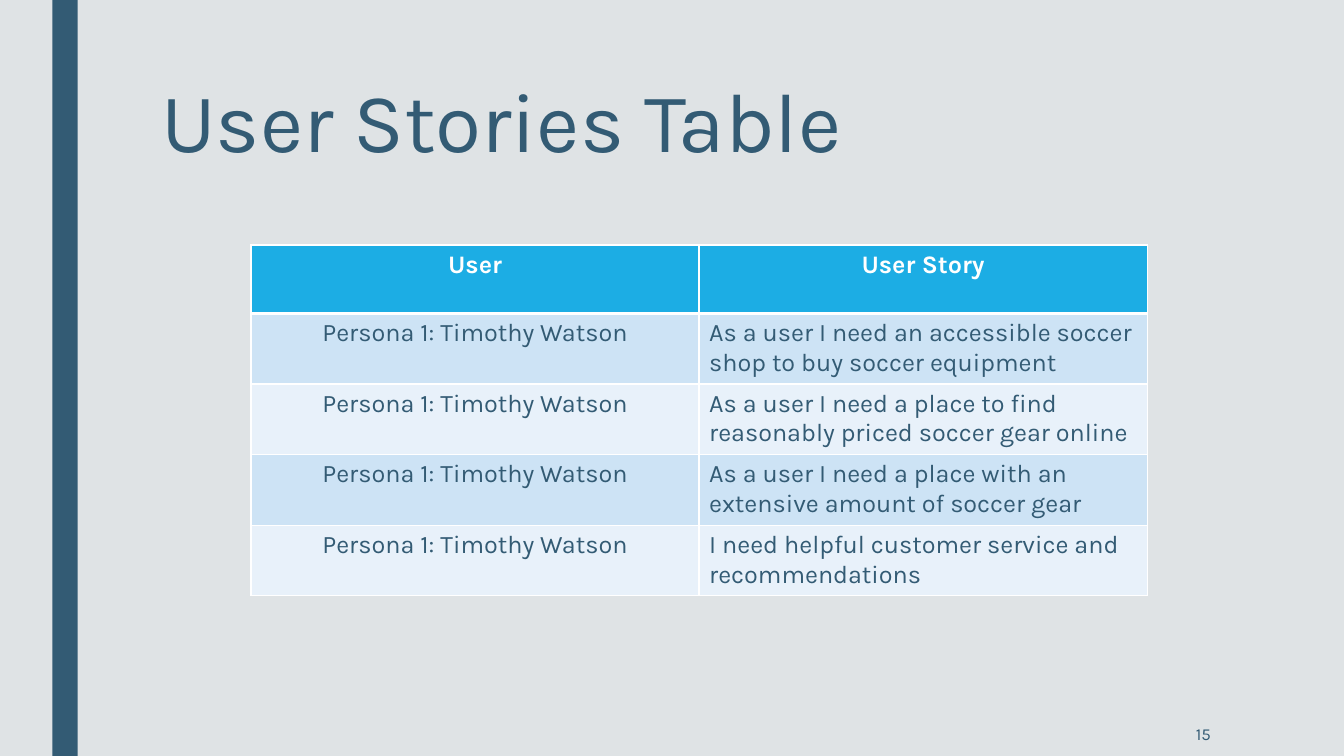
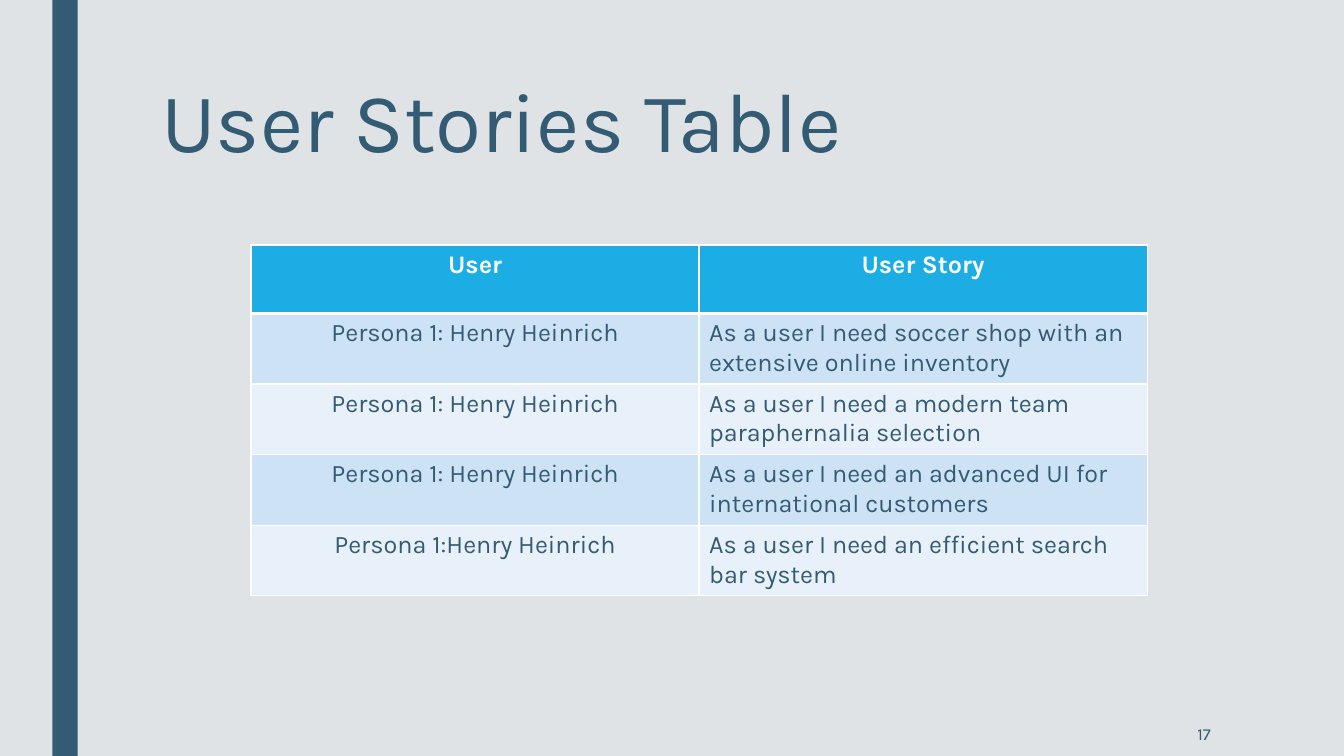
from lxml import etree
from pptx import Presentation
from pptx.dml.color import RGBColor
from pptx.enum.shapes import MSO_SHAPE as Shape
from pptx.enum.text import MSO_ANCHOR as Anchor, PP_ALIGN as Align
from pptx.oxml.ns import qn
from pptx.util import Inches, Pt

COLORS = {
    "background": "DFE3E5",
    "ink": "335B74",
    "header": "1CADE4",
    "odd_row": "CDE3F5",
    "even_row": "E8F1FA",
    "white": "FFFFFF",
}
FORMATS = {
    "title": {"size": Pt(60), "color": "ink"},
    "header": {"size": Pt(18), "color": "white", "bold": True},
    "body": {"size": Pt(18), "color": "ink", "bold": False},
    "number": {"size": Pt(12), "color": "ink"},
}
FONT = "Karla"
GRID = 0.25  # inches per grid column and row
COLUMNS, ROWS = 53.33, 30
TABLE_ROW = 2.72

SLIDES = [
    {
        "number": 15,
        "stories": [
            ("Persona 1: Timothy Watson",
             "As a user I need an accessible soccer shop to buy soccer equipment"),
            ("Persona 1: Timothy Watson",
             "As a user I need a place to find reasonably priced soccer gear online"),
            ("Persona 1: Timothy Watson",
             "As a user I need a place with an extensive amount of soccer gear"),
            ("Persona 1: Timothy Watson",
             "I need helpful customer service and recommendations"),
        ],
    },
    {
        "number": 17,
        "stories": [
            ("Persona 1: Henry Heinrich",
             "As a user I need soccer shop with an extensive online inventory"),
            ("Persona 1: Henry Heinrich",
             "As a user I need a modern team paraphernalia selection"),
            ("Persona 1: Henry Heinrich",
             "As a user I need an advanced UI for international customers"),
            ("Persona 1:Henry Heinrich",
             "As a user I need an efficient search bar system"),
        ],
    },
]


def rgb(name):
    return RGBColor.from_string(COLORS[name])


def grid(*lengths):
    """Turn grid columns or rows into slide lengths."""
    return [Inches(length * GRID) for length in lengths]


class Deck:
    """Holds the shared style and the slide being built."""

    def __init__(self):
        self.presentation = Presentation()
        self.presentation.slide_width, self.presentation.slide_height = grid(COLUMNS, ROWS)
        self.slide = None

    def add_slide(self):
        self.slide = self.presentation.slides.add_slide(self.presentation.slide_layouts[6])
        background = self.slide.background.fill
        background.solid()
        background.fore_color.rgb = rgb("background")
        self.add_band()

    def add_band(self):
        band = self.slide.shapes.add_shape(Shape.RECTANGLE, *grid(2.08, 0, 1, ROWS))
        band.shadow.inherit = False
        band.fill.solid()
        band.fill.fore_color.rgb = rgb("ink")
        band.line.fill.background()

    def fill_frame(self, frame, text, style, **paragraph_format):
        paragraph = frame.paragraphs[0]
        for name, value in paragraph_format.items():
            setattr(paragraph, name, value)
        run = paragraph.add_run()
        run.text = text
        run.font.name = FONT
        for name, value in FORMATS[style].items():
            if name == "color":
                run.font.color.rgb = rgb(value)
            else:
                setattr(run.font, name, value)

    def add_text(self, box, text, style, anchor=Anchor.TOP, **paragraph_format):
        frame = self.slide.shapes.add_textbox(*grid(*box)).text_frame
        frame.word_wrap = True
        frame.vertical_anchor = anchor
        self.fill_frame(frame, text, style, **paragraph_format)

    def add_title(self, text):
        self.add_text((6, 3, 42, 4.5), text, "title", line_spacing=0.89)

    def add_number(self, number):
        self.add_text((41.44, 28.24, 7, 1.76), str(number), "number",
                      Anchor.MIDDLE, alignment=Align.RIGHT)

    def add_table(self, header, stories):
        rows = [header, *stories]
        table = self.slide.shapes.add_table(
            len(rows), len(header), *grid(9.96, 9.72, 35.56, TABLE_ROW * len(rows))).table
        for row_index, texts in enumerate(rows):
            is_header = row_index == 0
            fill = "header" if is_header else "odd_row" if row_index % 2 else "even_row"
            for column_index, text in enumerate(texts):
                cell = table.cell(row_index, column_index)
                centered = is_header or column_index == 0
                self.fill_frame(cell.text_frame, text, "header" if is_header else "body",
                                alignment=Align.CENTER if centered else Align.LEFT)
                self.add_borders(cell, top=3 if row_index == 1 else 1,
                                 bottom=3 if is_header else 1)
                cell.fill.solid()
                cell.fill.fore_color.rgb = rgb(fill)

    def add_borders(self, cell, top, bottom):
        properties = cell._tc.get_or_add_tcPr()
        for side, width in {"L": 1, "R": 1, "T": top, "B": bottom}.items():
            line = etree.SubElement(properties, qn(f"a:ln{side}"), w=str(Pt(width)))
            fill = etree.SubElement(line, qn("a:solidFill"))
            etree.SubElement(fill, qn("a:srgbClr"), val=COLORS["white"])


def main():
    deck = Deck()
    for content in SLIDES:
        deck.add_slide()
        deck.add_title("User Stories Table")
        deck.add_table(("User", "User Story"), content["stories"])
        deck.add_number(content["number"])
    deck.presentation.save("out.pptx")


if __name__ == "__main__":
    main()
